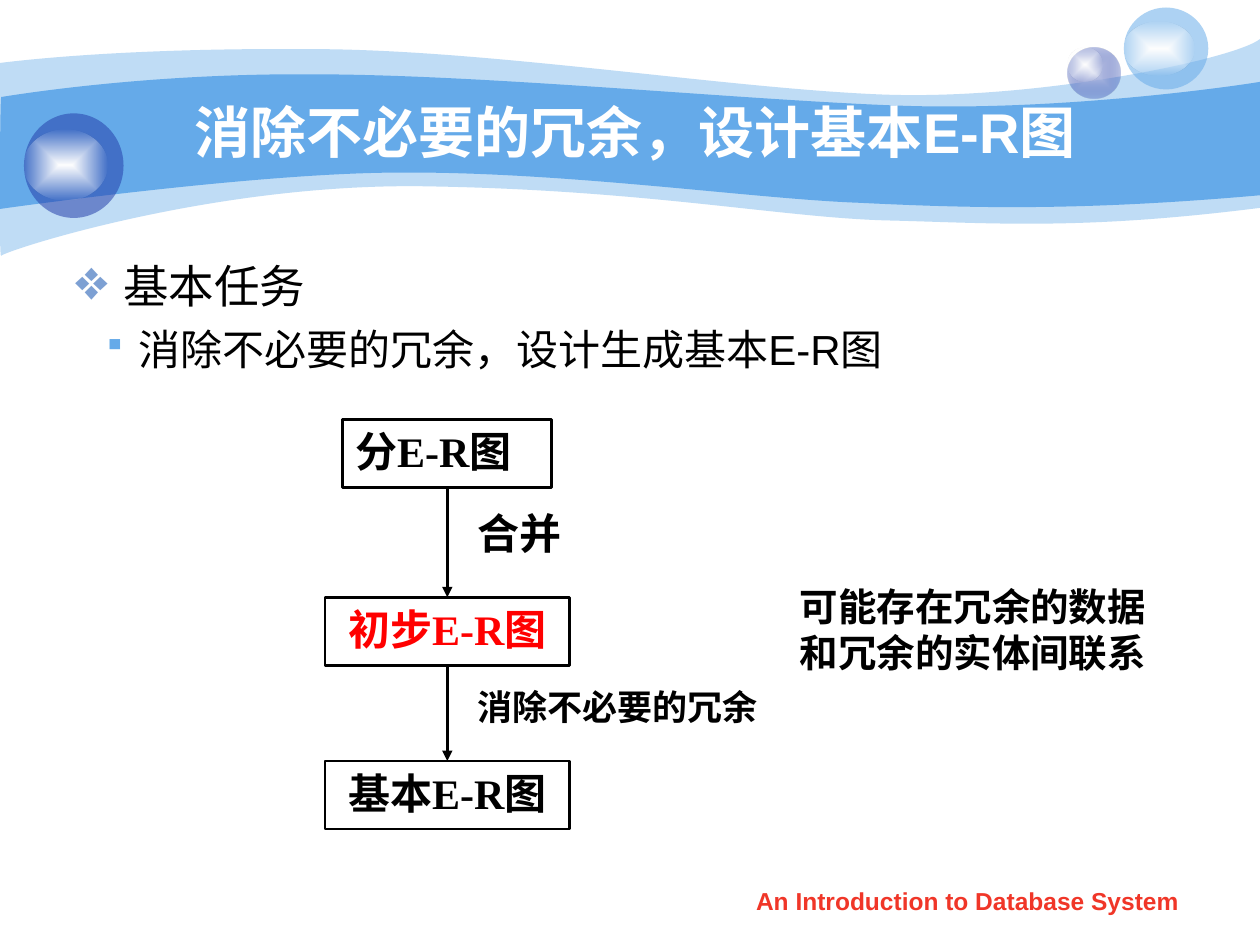
from dataclasses import dataclass

from lxml import etree
from pptx import Presentation
from pptx.dml.color import RGBColor
from pptx.enum.shapes import MSO_CONNECTOR, MSO_SHAPE
from pptx.enum.text import MSO_ANCHOR, PP_ALIGN
from pptx.oxml import parse_xml
from pptx.oxml.ns import nsdecls, qn
from pptx.util import Inches, Pt

SKY, NAVY, WHITE, BLACK = "65AAE9", "233DA9", "FFFFFF", "000000"
TIMES = "Times New Roman"
UNITS = 100  # outline units to the inch

Point = tuple[float, float]
Box = tuple[float, float, float, float]


@dataclass
class Wave:
    """Outline of Bezier segments (two controls and an end) and straight lines (an end)."""
    start: Point
    segments: list[list[Point]]
    alpha: int = 100


@dataclass
class Oval:
    box: Box
    color: str
    alpha: int
    center: str | None = None


@dataclass
class Line:
    text: str
    size: int
    color: str = BLACK
    font: str = TIMES
    bold: bool = True
    align: PP_ALIGN | None = None


@dataclass
class Bullet:
    symbol: str
    color: str
    percent: int
    margin: float
    hanging: float
    level: int = 0
    space_before: int = 0


WAVES = [
    Wave((0, 0.5), [
        [(0.24, 0.47), (1.07, 0.38), (2.47, 0.39)],
        [(3.86, 0.39), (5.75, 0.7), (6.99, 0.75)],
        [(8.22, 0.8), (9.8, 0.47), (10, 0.31)],
        [(10, 1.65)],
        [(8.58, 1.83), (7.87, 1.77), (7.05, 1.75)],
        [(6.22, 1.73), (5.15, 1.51), (3.43, 1.48)],
        [(1.72, 1.44), (0.04, 1.99), (0.01, 2.03)],
        [(-0.01, 2.08), (0, 0.75), (0, 0.5)]], 41),
    Wave((0.01, 0.77), [
        [(0.02, 0.77), (1.1, 0.58), (2.48, 0.59)],
        [(3.86, 0.59), (5.95, 0.8), (7.18, 0.84)],
        [(8.41, 0.88), (9.76, 0.69), (10, 0.65)],
        [(10, 1.55)],
        [(8.53, 1.68), (7.65, 1.65), (6.82, 1.61)],
        [(5.99, 1.58), (4.47, 1.36), (3.17, 1.37)],
        [(2.03, 1.37), (-0.02, 1.66), (-0.01, 1.66)],
        [(0, 1.66), (0, 0.77), (0.01, 0.77)]]),
]
BUBBLES = [
    Oval((8.47, 0.38, 0.42, 0.4), NAVY, 31, "C7CEE9"),
    Oval((8.47, 0.38, 0.28, 0.27), WHITE, 0, WHITE),
    Oval((8.92, 0.06, 0.67, 0.65), SKY, 53),
    Oval((8.92, 0.17, 0.56, 0.43), WHITE, 0, WHITE),
    Oval((0.19, 0.9, 0.79, 0.83), NAVY, 53),
    Oval((0.19, 1.03, 0.66, 0.56), WHITE, 0, WHITE),
]
STAGES = [
    ((2.72, 3.33, 1.66, 0.54), Line("分E-R图", 24, align=PP_ALIGN.JUSTIFY)),
    ((2.58, 4.74, 1.94, 0.54), Line("初步E-R图", 24, "FF0000", align=PP_ALIGN.CENTER)),
    ((2.58, 6.04, 1.94, 0.54), Line("基本E-R图", 24, align=PP_ALIGN.CENTER)),
]
LABELS = [
    ((5.71, 6.98, 3.94, 0.35),
     [Line("An Introduction to Database System", 14, "F03628", "Arial", align=PP_ALIGN.CENTER)]),
    ((3.69, 3.98, 1.24, 0.43), [Line("合并", 24, align=PP_ALIGN.JUSTIFY)]),
    ((3.69, 5.39, 3.03, 0.54), [Line("消除不必要的冗余", 20, align=PP_ALIGN.JUSTIFY)]),
    ((6.25, 4.58, 3.25, 0.83), [Line(text, 22, align=PP_ALIGN.JUSTIFY)
                                for text in ("可能存在冗余的数据", "和冗余的实体间联系")]),
]
TITLE = Line("消除不必要的冗余，设计基本E-R图", 32, WHITE, "Arial", align=PP_ALIGN.CENTER)
TASKS = [
    (Line("基本任务", 26, font="Arial", bold=False), Bullet("❖", "7DA0D3", 125, 0.38, 0.38)),
    (Line("消除不必要的冗余，设计生成基本E-R图", 24, font="Arial", bold=False),
     Bullet("▪", SKY, 75, 0.5, 0.28, level=1, space_before=6)),
]


def rgb(color: str) -> RGBColor:
    return RGBColor.from_string(color)


def inches(box: Box) -> list[Inches]:
    return [Inches(length) for length in box]


def fill_solid(shape, color: str, alpha: int = 100) -> None:
    shape.fill.solid()
    shape.fill.fore_color.rgb = rgb(color)
    if alpha < 100:
        element = shape._element.spPr.find(qn("a:solidFill"))[0]
        etree.SubElement(element, qn("a:alpha"), val=str(alpha * 1000))


def fill_glow(shape, center: str, edge: str, edge_alpha: int) -> None:
    """Fill with a gradient that runs from the centre out to a translucent edge."""
    gradient = parse_xml(
        f'<a:gradFill {nsdecls("a")} rotWithShape="1"><a:gsLst>'
        f'<a:gs pos="0"><a:srgbClr val="{center}"/></a:gs>'
        f'<a:gs pos="100000"><a:srgbClr val="{edge}"><a:alpha val="{edge_alpha * 1000}"/>'
        '</a:srgbClr></a:gs></a:gsLst><a:path path="rect">'
        '<a:fillToRect l="50000" t="50000" r="50000" b="50000"/></a:path></a:gradFill>')
    shape._element.spPr.find(qn("a:prstGeom")).addnext(gradient)


def draw_wave(slide, wave: Wave) -> None:
    """Draw the outline through the segment ends, then bend the curved segments."""
    corners = [(round(x * UNITS), round(y * UNITS))
               for x, y in [wave.start] + [segment[-1] for segment in wave.segments]]
    builder = slide.shapes.build_freeform(*corners[0], scale=Inches(1) / UNITS)
    builder.add_line_segments(corners[1:], close=True)
    shape = builder.convert_to_shape()
    left, top = (min(values) for values in zip(*corners))
    sides = list(shape._element.iter(qn("a:lnTo")))
    for side, segment in zip(sides, wave.segments):
        if len(segment) == 3:
            side.tag = qn("a:cubicBezTo")
            for index, (x, y) in enumerate(segment[:2]):
                control = etree.Element(qn("a:pt"), x=str(round(x * UNITS) - left),
                                        y=str(round(y * UNITS) - top))
                side.insert(index, control)
    shape.shadow.inherit = False
    shape.line.fill.background()
    fill_solid(shape, SKY, wave.alpha)


def draw_oval(slide, oval: Oval) -> None:
    shape = slide.shapes.add_shape(MSO_SHAPE.OVAL, *inches(oval.box))
    shape.shadow.inherit = False
    shape.line.fill.background()
    if oval.center:
        fill_glow(shape, oval.center, oval.color, oval.alpha)
    else:
        fill_solid(shape, oval.color, oval.alpha)


def add_bullet(paragraph, bullet: Bullet) -> None:
    paragraph.level = bullet.level
    paragraph.space_before = Pt(bullet.space_before)
    properties = paragraph._p.get_or_add_pPr()
    properties.set("marL", str(Inches(bullet.margin)))
    properties.set("indent", str(-Inches(bullet.hanging)))
    color = etree.SubElement(properties, qn("a:buClr"))
    etree.SubElement(color, qn("a:srgbClr"), val=bullet.color)
    etree.SubElement(properties, qn("a:buSzPct"), val=str(bullet.percent * 1000))
    etree.SubElement(properties, qn("a:buChar"), char=bullet.symbol)


def write(frame, lines: list[Line], bullets: list[Bullet] | None = None) -> None:
    for index, line in enumerate(lines):
        paragraph = frame.add_paragraph() if index else frame.paragraphs[0]
        paragraph.alignment = line.align
        if bullets:
            add_bullet(paragraph, bullets[index])
        run = paragraph.add_run()
        run.text = line.text
        run.font.color.rgb = rgb(line.color)
        values = {"size": Pt(line.size), "name": line.font, "bold": line.bold}
        for name, value in values.items():
            setattr(run.font, name, value)


def add_text(slide, box: Box, lines: list[Line], bullets: list[Bullet] | None = None):
    frame = slide.shapes.add_textbox(*inches(box)).text_frame
    frame.word_wrap = True
    write(frame, lines, bullets)
    return frame


def draw_stage(slide, box: Box, line: Line):
    shape = slide.shapes.add_shape(MSO_SHAPE.RECTANGLE, *inches(box))
    shape.shadow.inherit = False
    shape.fill.background()
    shape.line.color.rgb = rgb(BLACK)
    shape.line.width = Pt(1.5)
    shape.text_frame.vertical_anchor = MSO_ANCHOR.TOP
    shape.text_frame.word_wrap = line.align != PP_ALIGN.CENTER
    write(shape.text_frame, [line])
    return shape


def draw_arrow(slide, upper, lower) -> None:
    arrow = slide.shapes.add_connector(MSO_CONNECTOR.STRAIGHT, 0, 0, 0, 0)
    arrow.begin_connect(upper, 2)
    arrow.end_connect(lower, 0)
    arrow.line.color.rgb = rgb(BLACK)
    arrow.line.width = Pt(1.5)
    etree.SubElement(arrow.line._get_or_add_ln(), qn("a:tailEnd"), type="triangle")
    etree.SubElement(arrow._element.spPr, qn("a:effectLst"))


def main() -> None:
    presentation = Presentation()
    presentation.slide_width, presentation.slide_height = Inches(10), Inches(7.5)
    slide = presentation.slides.add_slide(presentation.slide_layouts[6])
    for wave in WAVES:
        draw_wave(slide, wave)
    for oval in BUBBLES:
        draw_oval(slide, oval)
    add_text(slide, (1, 0.73, 8.08, 0.62), [TITLE]).vertical_anchor = MSO_ANCHOR.MIDDLE
    lines, bullets = zip(*TASKS)
    add_text(slide, (0.5, 2, 9, 4.92), lines, bullets)
    stages = [draw_stage(slide, box, line) for box, line in STAGES]
    for upper, lower in zip(stages, stages[1:]):
        draw_arrow(slide, upper, lower)
    for box, label in LABELS:
        add_text(slide, box, label)
    presentation.save("out.pptx")


if __name__ == "__main__":
    main()
